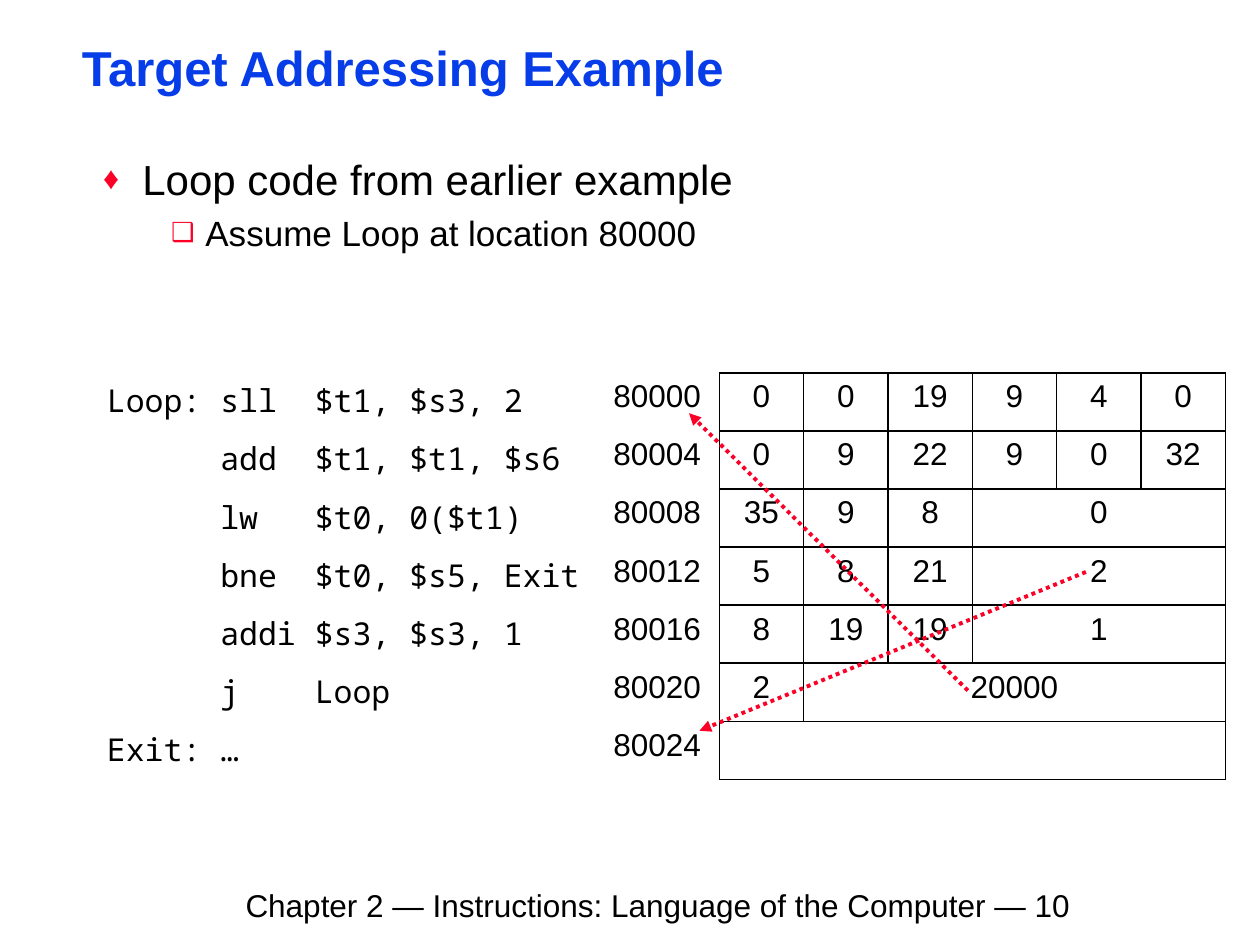
from lxml import etree
from pptx import Presentation
from pptx.dml.color import RGBColor
from pptx.enum.dml import MSO_LINE
from pptx.enum.shapes import MSO_CONNECTOR
from pptx.enum.text import MSO_ANCHOR, MSO_AUTO_SIZE, PP_ALIGN
from pptx.oxml.ns import qn
from pptx.util import Cm, Pt

LEFT, CENTER = PP_ALIGN.LEFT, PP_ALIGN.CENTER
TOP, GROW = MSO_ANCHOR.TOP, MSO_AUTO_SIZE.SHAPE_TO_FIT_TEXT
DOTTED, STRAIGHT = MSO_LINE.ROUND_DOT, MSO_CONNECTOR.STRAIGHT

COLORS = {"title": "063DE8", "text": "000000", "accent": "FC0128", "paper": "FFFFFF"}
SANS, MONO = "Arial", "Noto Sans Mono"

TITLE = "Target Addressing Example"
FOOTER = "Chapter 2 — Instructions: Language of the Computer — 10"
POINTS = [
    dict(text="Loop code from earlier example", level=0, size=24, bullet="♦",
         margin=0.79, hanging=0.79, line=0.9, before=65),
    dict(text="Assume Loop at location 80000", level=1, size=20, bullet="❑",
         margin=2.06, hanging=0.69, line=0.85, before=40),
]
FIRST_ADDRESS, WORD_BYTES = 80000, 4
PROGRAM = [
    ("Loop:", "sll", "$t1, $s3, 2", ["0", "0", "19", "9", "4", "0"]),
    ("", "add", "$t1, $t1, $s6", ["0", "9", "22", "9", "0", "32"]),
    ("", "lw", "$t0, 0($t1)", ["35", "9", "8", "0"]),
    ("", "bne", "$t0, $s5, Exit", ["5", "8", "21", "2"]),
    ("", "addi", "$s3, $s3, 1", ["8", "19", "19", "1"]),
    ("", "j", "Loop", ["2", "20000"]),
    ("Exit:", "…", "", [""]),
]
COLUMN_WIDTHS = [10.21, 2.39] + [1.7] * 6
ROW_HEIGHT = 1.17
FIELD_START, LAST_COLUMN = 2, 7
JUMPS = [((19.51, 13.92), (13.89, 8.33)), ((21.89, 11.53), (14.1, 14.73))]


def add_xml(parent, tag, **attributes):
    return etree.SubElement(parent, qn(tag), attributes)


def style(paragraph, size, font=SANS, color="text", bold=False):
    for run in paragraph.runs:
        run.font.size = Pt(size)
        run.font.name = font
        run.font.bold = bold
        run.font.color.rgb = RGBColor.from_string(COLORS[color])


def space_before(paragraph, percent):
    spacing = add_xml(paragraph._p.get_or_add_pPr(), "a:spcBef")
    add_xml(spacing, "a:spcPct", val=str(percent * 1000))


def place(shape, left, top, width, height):
    shape.left, shape.top, shape.width, shape.height = map(Cm, (left, top, width, height))
    frame = shape.text_frame
    frame.margin_left = frame.margin_right = Cm(0.18)
    frame.margin_top = frame.margin_bottom = Cm(0.08)
    frame.vertical_anchor, frame.auto_size, frame.word_wrap = TOP, GROW, True
    return frame


def set_borders(cell, left, right, top, bottom):
    properties = cell._tc.get_or_add_tcPr()
    sides = {"a:lnL": left, "a:lnR": right, "a:lnT": top, "a:lnB": bottom}
    for tag, color in sides.items():
        border = add_xml(properties, tag, w=str(Pt(1)))
        fill = add_xml(border, "a:solidFill")
        add_xml(fill, "a:srgbClr", val=COLORS[color])


def fill_cell(cell, text, font, alignment):
    cell.text = text
    paragraph = cell.text_frame.paragraphs[0]
    paragraph.alignment = alignment
    space_before(paragraph, 20)
    style(paragraph, 18, font)


def add_headings(slide):
    title = place(slide.shapes.title, 1.47, 0.84, 22.66, 1.17)
    title.text = TITLE
    heading = title.paragraphs[0]
    heading.alignment, heading.line_spacing = LEFT, 0.87
    style(heading, 28, color="title", bold=True)

    body = place(slide.placeholders[1], 1.9, 3.12, 22.99, 3.4)
    body.text = "\n".join(point["text"] for point in POINTS)
    for paragraph, point in zip(body.paragraphs, POINTS):
        paragraph.level, paragraph.line_spacing = point["level"], point["line"]
        space_before(paragraph, point["before"])
        properties = paragraph._p.get_or_add_pPr()
        properties.set("marL", str(Cm(point["margin"])))
        properties.set("indent", str(-Cm(point["hanging"])))
        add_xml(add_xml(properties, "a:buClr"), "a:srgbClr", val=COLORS["accent"])
        add_xml(properties, "a:buSzPct", val="75000")
        add_xml(properties, "a:buFont", typeface=SANS)
        add_xml(properties, "a:buChar", char=point["bullet"])
        style(paragraph, point["size"])


def add_program(slide):
    table = slide.shapes.add_table(
        len(PROGRAM), len(COLUMN_WIDTHS), Cm(1.9), Cm(7.52),
        Cm(sum(COLUMN_WIDTHS)), Cm(ROW_HEIGHT * len(PROGRAM))).table
    table.first_row = table.horz_banding = False
    for column, width in zip(table.columns, COLUMN_WIDTHS):
        column.width = Cm(width)
    for number, (label, operation, operands, fields) in enumerate(PROGRAM):
        table.rows[number].height = Cm(ROW_HEIGHT)
        for column in range(len(COLUMN_WIDTHS)):
            cell = table.cell(number, column)
            outer = "paper" if column < FIELD_START else "text"
            right = "paper" if column == 0 else "text"
            set_borders(cell, outer, right, outer, outer)
            cell.fill.background()
        code = f"{label:<6}{operation:<5}{operands}".rstrip()
        fill_cell(table.cell(number, 0), code, MONO, LEFT)
        address = str(FIRST_ADDRESS + number * WORD_BYTES)
        fill_cell(table.cell(number, 1), address, SANS, LEFT)
        for column, field in enumerate(fields, FIELD_START):
            fill_cell(table.cell(number, column), field, SANS, CENTER)
        last_field = FIELD_START + len(fields) - 1
        if last_field < LAST_COLUMN:
            table.cell(number, last_field).merge(table.cell(number, LAST_COLUMN))


def add_jumps(slide):
    for start, end in JUMPS:
        arrow = slide.shapes.add_connector(STRAIGHT, *map(Cm, start + end))
        arrow.line.color.rgb = RGBColor.from_string(COLORS["accent"])
        arrow.line.width = Pt(2.25)
        arrow.line.dash_style = DOTTED
        add_xml(arrow.line._get_or_add_ln(), "a:tailEnd", type="triangle")
        add_xml(arrow._element.spPr, "a:effectLst")


def main():
    deck = Presentation()
    deck.slide_width, deck.slide_height = Cm(25.4), Cm(19.05)
    slide = deck.slides.add_slide(deck.slide_layouts[1])
    add_headings(slide)
    add_program(slide)
    add_jumps(slide)
    footer = slide.shapes.add_textbox(Cm(4.7), Cm(17.73), Cm(20.19), Cm(0.99)).text_frame
    footer.word_wrap = True
    footer.text = FOOTER
    style(footer.paragraphs[0], 18)
    deck.save("out.pptx")


if __name__ == "__main__":
    main()
